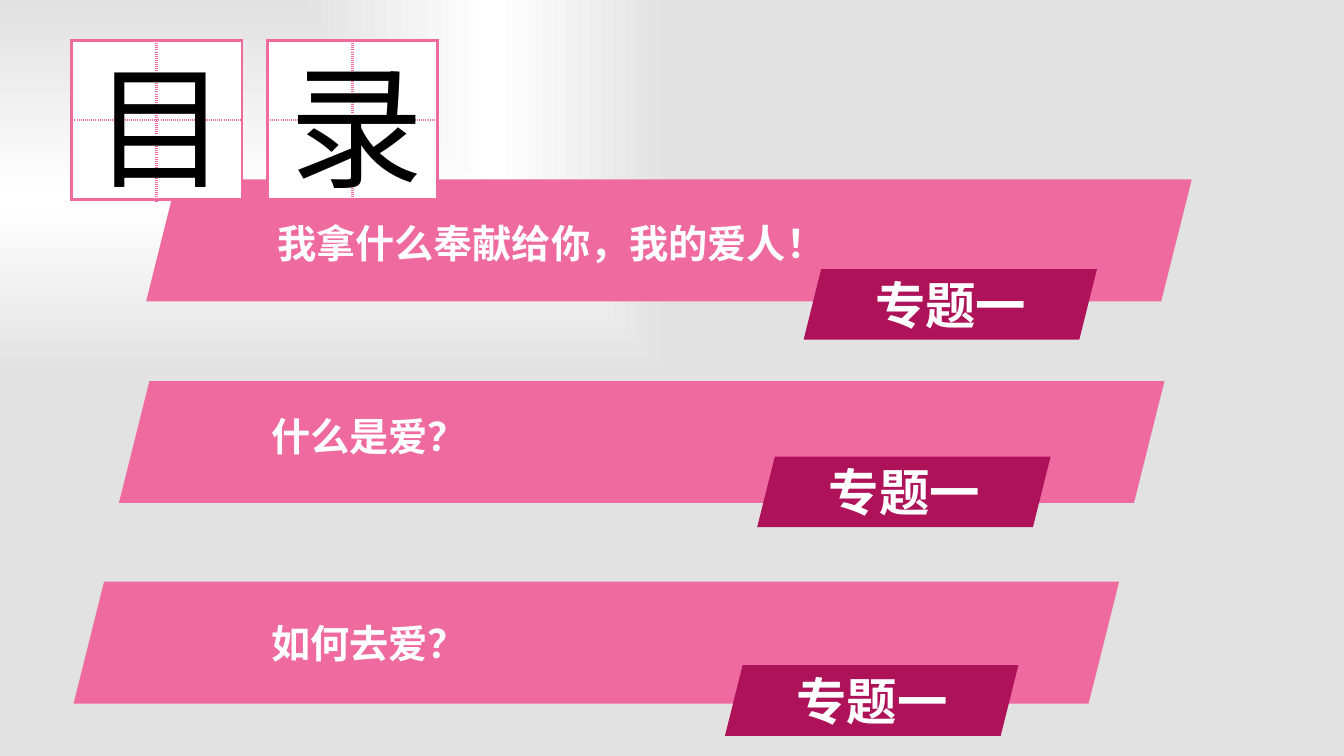
from lxml.etree import SubElement
from pptx import Presentation
from pptx.dml.color import RGBColor
from pptx.enum.shapes import MSO_SHAPE
from pptx.enum.text import MSO_AUTO_SIZE
from pptx.oxml import parse_xml
from pptx.oxml.ns import nsdecls, qn
from pptx.util import Inches, Pt

FONT = "Noto Sans CJK SC"
PINK, CRIMSON, WHITE, BLACK = "EF6A9F", "AE1259", "FFFFFF", "000000"
GRID_SIZE = (1.69, 1.58)


def color(value):
    return RGBColor.from_string(value)


def set_background(page):
    """Grey to white to grey, spreading from the top left corner."""
    stops = "".join(
        f'<a:gs pos="{position * 1000}"><a:srgbClr val="{value}"/></a:gs>'
        for position, value in ((0, "E2E2E2"), (53, WHITE), (100, "E2E2E2")))
    background = parse_xml(
        f'<p:bg {nsdecls("p", "a")}><p:bgPr><a:gradFill><a:gsLst>{stops}</a:gsLst>'
        '<a:path path="rect"><a:fillToRect r="100000" b="100000"/></a:path>'
        '</a:gradFill><a:effectLst/></p:bgPr></p:bg>')
    page.element.cSld.insert(0, background)


def add_banner(page, left, top, width, height, fill):
    banner = page.shapes.add_shape(
        MSO_SHAPE.PARALLELOGRAM,
        Inches(left), Inches(top), Inches(width), Inches(height))
    banner.shadow.inherit = False
    banner.fill.solid()
    banner.fill.fore_color.rgb = color(fill)
    banner.line.fill.background()


def add_text(page, text, left, top, width, height, size, fill=WHITE, bold=False):
    box = page.shapes.add_textbox(
        Inches(left), Inches(top), Inches(width), Inches(height))
    frame = box.text_frame
    frame.word_wrap = True
    frame.auto_size = MSO_AUTO_SIZE.SHAPE_TO_FIT_TEXT
    span = frame.paragraphs[0].add_run()
    span.text = text
    span.font.size = Pt(size)
    span.font.bold = bold
    span.font.name = FONT
    span.font.color.rgb = color(fill)
    SubElement(span.font._element, qn("a:ea")).set("typeface", FONT)


def style_cell(cell, dotted_sides):
    """White cell with pink borders, dotted on the inner sides."""
    properties = cell._tc.get_or_add_tcPr()
    for side in "LRTB":
        dash = "sysDot" if side in dotted_sides else "solid"
        properties.append(parse_xml(
            f'<a:ln{side} {nsdecls("a")} w="{Pt(2.25)}"><a:solidFill>'
            f'<a:srgbClr val="{PINK}"/></a:solidFill>'
            f'<a:prstDash val="{dash}"/></a:ln{side}>'))
    cell.fill.solid()
    cell.fill.fore_color.rgb = color(WHITE)


def add_character_grid(page, left, top):
    width, height = GRID_SIZE
    table = page.shapes.add_table(
        2, 2, Inches(left), Inches(top), Inches(width), Inches(height)).table
    for row in range(2):
        for column in range(2):
            style_cell(table.cell(row, column), "RL"[column] + "BT"[row])


def main():
    deck = Presentation()
    deck.slide_width, deck.slide_height = Inches(13.33), Inches(7.5)
    page = deck.slides.add_slide(deck.slide_layouts[6])
    set_background(page)

    # Topics: text, banner place, text place, label place
    topics = (
        ("我拿什么奉献给你，我的爱人！", (1.45, 1.78), (2.65, 2.13), (7.97, 2.67)),
        ("什么是爱？", (1.18, 3.78), (2.59, 4.04), (7.51, 4.53)),
        ("如何去爱？", (0.73, 5.77), (2.59, 6.09), (7.19, 6.6)),
    )
    for text, banner, words, (left, top) in topics:
        add_banner(page, *banner, 10.37, 1.21, PINK)
        add_text(page, text, *words, 6.83, 0.57, size=28, bold=True)
        add_banner(page, left, top, 2.91, 0.7, CRIMSON)
        add_text(page, "专题一", left + 0.61, top, 2.62, 0.71, size=36, bold=True)

    # Title characters on their writing grids
    for character, left in (("目", 0.71), ("录", 2.65)):
        add_character_grid(page, left, 0.4)
        add_text(page, character, left + 0.12, 0.38, 1.25, 1.72, size=96, fill=BLACK)

    deck.save("out.pptx")


if __name__ == "__main__":
    main()
